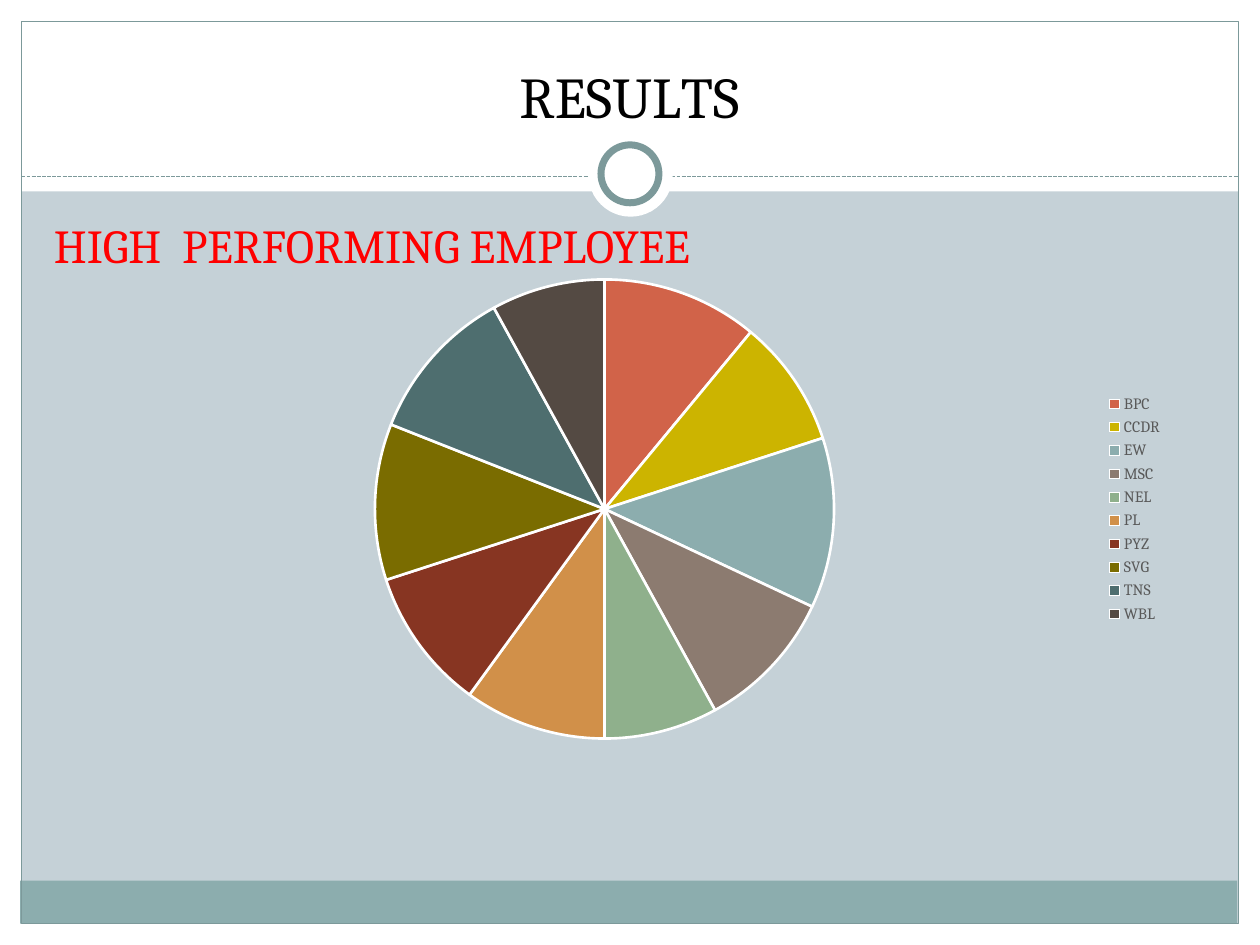
from lxml import etree
from pptx import Presentation
from pptx.chart.data import CategoryChartData
from pptx.dml.color import RGBColor
from pptx.enum.chart import XL_CHART_TYPE, XL_LEGEND_POSITION
from pptx.enum.dml import MSO_LINE
from pptx.enum.shapes import MSO_CONNECTOR, MSO_SHAPE
from pptx.enum.text import MSO_ANCHOR, PP_ALIGN
from pptx.oxml.ns import qn
from pptx.util import Inches, Pt

RECTANGLE = MSO_SHAPE.RECTANGLE
OVAL = MSO_SHAPE.OVAL
STRAIGHT = MSO_CONNECTOR.STRAIGHT
DASHED = MSO_LINE.SQUARE_DOT
PIE = XL_CHART_TYPE.PIE
LEGEND_RIGHT = XL_LEGEND_POSITION.RIGHT
LEFT, CENTER = PP_ALIGN.LEFT, PP_ALIGN.CENTER
TOP, BOTTOM = MSO_ANCHOR.TOP, MSO_ANCHOR.BOTTOM

WHITE = "FFFFFF"
FRAME = "7C999A"

# department, share of high performers, slice colour
DEPARTMENTS = [
    ("BPC", 11, "D16349"),
    ("CCDR", 9, "CCB400"),
    ("EW", 12, "8CADAE"),
    ("MSC", 10, "8C7B70"),
    ("NEL", 8, "8FB08C"),
    ("PL", 10, "D19049"),
    ("PYZ", 10, "873522"),
    ("SVG", 11, "7A6C00"),
    ("TNS", 11, "4E6E6F"),
    ("WBL", 8, "544A43"),
]


def color(value):
    return RGBColor.from_string(value)


class SlideBuilder:
    font = "Cambria"

    def __init__(self, slide):
        self.slide = slide

    def background(self, fill):
        self.slide.background.fill.solid()
        self.slide.background.fill.fore_color.rgb = color(fill)

    def shape(self, kind, box, fill=None, line=None, width=0.75):
        shape = self.slide.shapes.add_shape(kind, *map(Inches, box))
        shape.shadow.inherit = False
        if fill:
            shape.fill.solid()
            shape.fill.fore_color.rgb = color(fill)
        else:
            shape.fill.background()
        if line:
            shape.line.color.rgb = color(line)
            shape.line.width = Pt(width)
        else:
            shape.line.fill.background()

    def dashed_line(self, start, end):
        connector = self.slide.shapes.add_connector(
            STRAIGHT, *map(Inches, start + end))
        connector.line.color.rgb = color(FRAME)
        connector.line.width = Pt(0.75)
        connector.line.dash_style = DASHED
        etree.SubElement(connector._element.spPr, qn("a:effectLst"))

    def text(self, box, runs, size, fill, align=LEFT, anchor=TOP):
        """Add one paragraph; runs are (text, letter spacing in points)."""
        frame = self.slide.shapes.add_textbox(*map(Inches, box)).text_frame
        frame.word_wrap = True
        frame.vertical_anchor = anchor
        paragraph = frame.paragraphs[0]
        paragraph.alignment = align
        for content, spacing in runs:
            run = paragraph.add_run()
            run.text = content
            self.style_font(run.font, size, fill)
            if spacing:
                run._r.get_or_add_rPr().set("spc", str(round(spacing * 100)))

    def style_font(self, font, size, fill):
        font.name = self.font
        font.size = Pt(size)
        font.color.rgb = color(fill)

    def pie(self, box, rows):
        data = CategoryChartData()
        data.categories = [name for name, _, _ in rows]
        data.add_series("Series 1", [share for _, share, _ in rows])
        chart = self.slide.shapes.add_chart(PIE, *map(Inches, box), data).chart
        self.style_font(chart.font, 10, "000000")
        chart.has_title = False
        chart.has_legend = True
        chart.legend.position = LEGEND_RIGHT
        chart.legend.include_in_layout = False
        self.style_font(chart.legend.font, 9, "595959")
        plot = chart.plots[0]
        plot.vary_by_categories = True
        for index, (_, _, fill) in enumerate(rows):
            slice_format = plot.series[0].points[index].format
            slice_format.fill.solid()
            slice_format.fill.fore_color.rgb = color(fill)
            slice_format.line.color.rgb = color(WHITE)
            slice_format.line.width = Pt(1.5)


def main():
    presentation = Presentation()
    presentation.slide_width = Inches(10)
    presentation.slide_height = Inches(7.5)
    slide = presentation.slides.add_slide(presentation.slide_layouts[6])
    builder = SlideBuilder(slide)

    builder.background("C5D1D7")
    margins = [(0, 7.33, 10, 0.17), (0, 0, 10, 1.52),
               (0, 0, 0.17, 7.5), (9.83, 0, 0.17, 7.5)]
    for box in margins:
        builder.shape(RECTANGLE, box, WHITE)
    builder.shape(RECTANGLE, (0.16, 6.99, 9.66, 0.34), "8CADAE")
    builder.shape(RECTANGLE, (0.17, 0.17, 9.66, 7.16), line=FRAME)
    builder.dashed_line((0.17, 1.4), (9.83, 1.4))
    builder.shape(OVAL, (4.67, 1.05, 0.67, 0.67), WHITE)
    builder.shape(OVAL, (4.77, 1.15, 0.46, 0.46), WHITE, FRAME, 4)

    title = [("R", 0), ("E", -0.4), ("S", 0.1), ("U", -0.3), ("L", -4), ("TS", 0)]
    builder.text((0.33, 0.25, 9.33, 0.83), title, 33, "000000", CENTER, BOTTOM)
    builder.text((0.33, 1.67, 9.3, 5), [("HIGH  PERFORMING EMPLOYEE", 0)],
                 27, "FF0000")
    builder.pie((0.83, 2.08, 8.5, 3.92), DEPARTMENTS)

    presentation.save("out.pptx")


if __name__ == "__main__":
    main()
